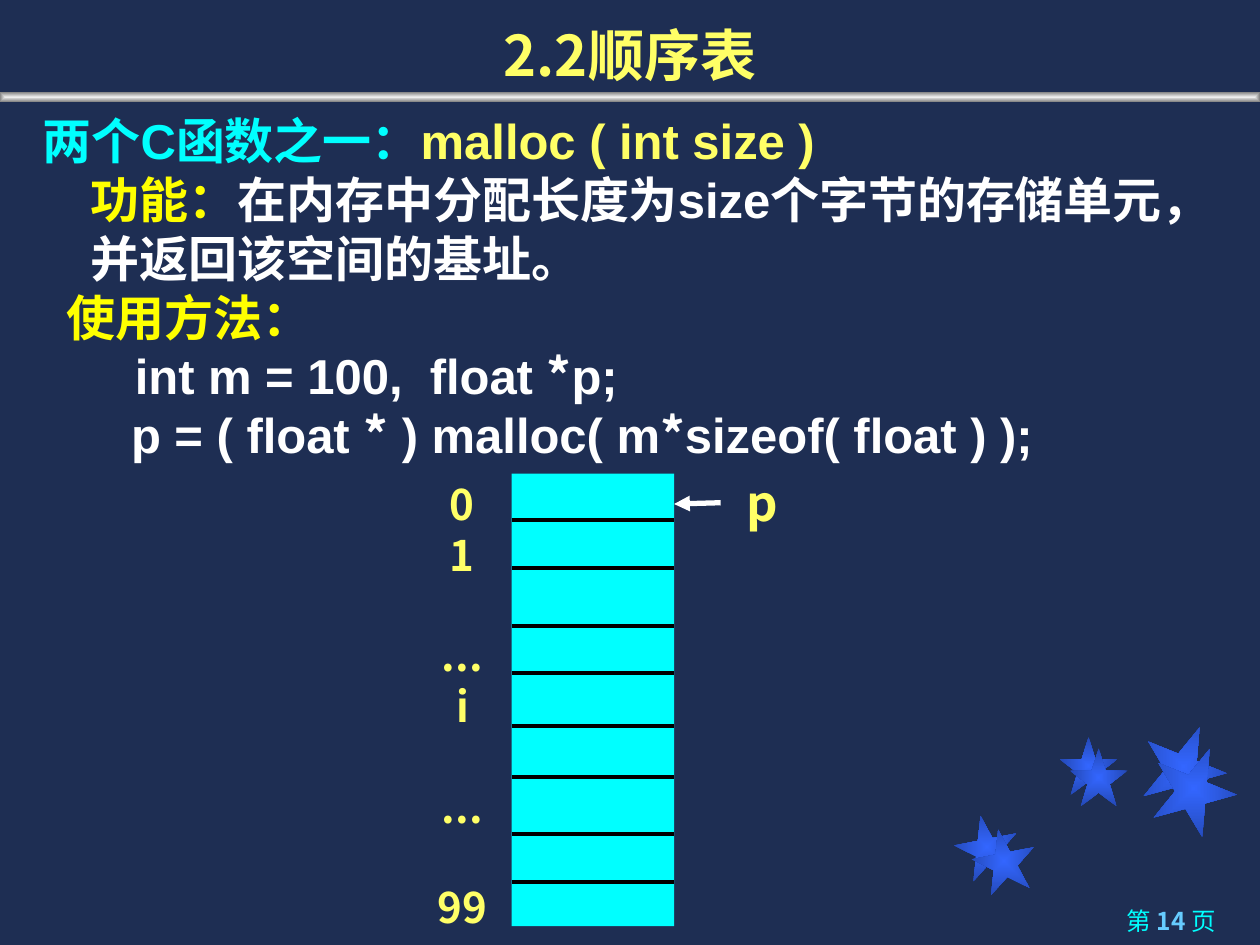
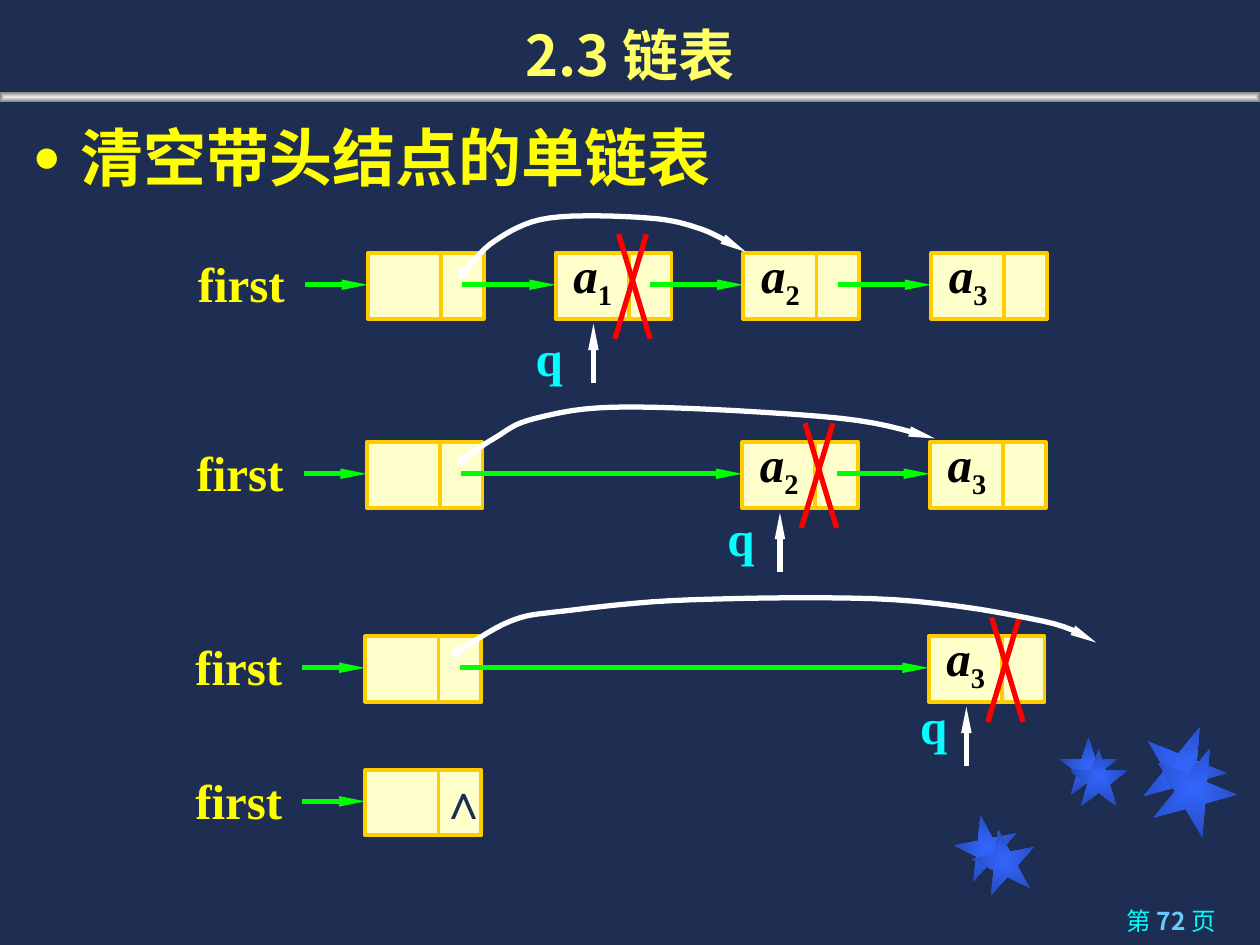
from lxml import etree
from pptx import Presentation, util as u
from pptx.dml.color import RGBColor
from pptx.enum import shapes, text
from pptx.oxml.ns import qn

WIDTH, HEIGHT = 10, 7.5
NAVY, YELLOW, PALE_YELLOW = "1E2E53", "FFFF00", "FFFF66"
CYAN, SKY, WHITE, BLACK = "00FFFF", "66CCFF", "FFFFFF", "000000"
CREAM, GOLD, GREEN, RED = "FFFFCC", "FFCC00", "00FF00", "FF0000"
SANS, HAN, SERIF = "Arial", "Noto Sans CJK SC", "Times New Roman"
LEADING = 1.2  # line pitch as a share of the text size
CURVE_UNITS = 1000  # whole drawing units per inch in a freeform

# left, top, size, rotation
STARS = [(7.58, 6.47, 0.5, 349), (8.41, 5.85, 0.46, 0), (9.06, 5.75, 0.67, 22),
         (7.72, 6.58, 0.5, 349), (8.49, 5.94, 0.46, 0), (9.14, 5.92, 0.67, 22)]

# left margin, then spans of (text, colour, font)
MALLOC_NOTES = [
    (0, [("两个C函数之一：", CYAN, SANS), ("malloc ( int size )", PALE_YELLOW, SANS)]),
    (0.38, [("功能：", YELLOW, SANS),
            ("在内存中分配长度为size个字节的存储单元，并返回该空间的基址。", WHITE, SANS)]),
    (0.19, [("使用方法：", YELLOW, SANS)]),
    (0.73, [("int m = 100,  float ", WHITE, SANS), ("*", WHITE, HAN), ("p;", WHITE, SANS)]),
    (0.7, [("p = ( float ", WHITE, SANS), ("*", WHITE, HAN), (" ) malloc( m", WHITE, SANS),
           ("*", WHITE, HAN), ("sizeof( float ) );", WHITE, SANS)]),
]
# index label, blank lines above it
MEMORY_LABELS = [("0", 0), ("1", 0), ("...", 1), ("i", 0), ("...", 1), ("99", 1)]
MEMORY = (4.06, 3.76, 1.29, 3.59)
CELL_EDGES = [4.13, 4.51, 4.97, 5.34, 5.76, 6.17, 6.62, 7]

# One dict per list state; nodes maps a grid column to its subscript, the first one is deleted
LIST_STATES = [
    dict(left=2.92, top=2.01, nodes={1: "1", 2: "2", 3: "3"}, q=(-0.26, 0.54),
         bypass=[(3.67, 2.17), (3.93, 1.91), (4.36, 1.73), (5.14, 1.73), (5.57, 1.82), (5.92, 2)]),
    dict(left=2.91, top=3.51, nodes={2: "2", 3: "3"}, q=(-0.22, 0.47),
         bypass=[(3.67, 3.65), (3.92, 3.48), (4.25, 3.32), (5, 3.23), (6.67, 3.32), (7.42, 3.48)]),
    dict(left=2.9, top=5.05, nodes={3: "3"}, q=(-0.17, 0.42),
         bypass=[(3.62, 5.18), (4.05, 4.93), (4.47, 4.85), (5.49, 4.76), (7.1, 4.76),
                 (8.28, 4.93), (8.7, 5.1)]),
    dict(left=2.9, top=6.11, nodes={}),
]
NODE_PITCH, NODE_WIDTH, NODE_HEIGHT, DIVIDER = 1.49, 0.92, 0.52, 0.58
LINK_START, LINK_DROP = 0.75, 0.25


def rgb(value):
    return RGBColor.from_string(value)


def inches(*values):
    return [u.Inches(value) for value in values]


def add_span(para, words, size, color, font=HAN, bold=True, italic=False, baseline=None):
    span = para.add_run()
    span.text = words
    span.font.size, span.font.bold, span.font.italic = u.Pt(size), bold, italic
    span.font.name, span.font.color.rgb = font, rgb(color)
    props = span.font._element
    etree.SubElement(props, qn("a:ea")).set("typeface", HAN if font == SANS else font)
    if baseline:
        props.set("baseline", str(baseline * 1000))


def set_spacing(para, size, blank_lines=0):
    pitch = round(size * LEADING, 1)
    para.line_spacing = u.Pt(pitch)
    para.space_before = u.Pt(blank_lines * pitch)


def set_indent(para, left, hanging=0, bullet=None):
    props = para._p.get_or_add_pPr()
    props.set("marL", str(u.Inches(left)))
    props.set("indent", str(u.Inches(-hanging)))
    if bullet:
        etree.SubElement(props, qn("a:buSzPct")).set("val", "75000")
        etree.SubElement(props, qn("a:buChar")).set("char", bullet)
    else:
        etree.SubElement(props, qn("a:buNone"))


def place(box, left, top, width, height):
    box.left, box.top, box.width, box.height = inches(left, top, width, height)


def add_text(slide, at, wrap=False, anchor=text.MSO_ANCHOR.MIDDLE, align=text.PP_ALIGN.CENTER):
    """Add an empty text box and return its frame."""
    frame = slide.shapes.add_textbox(*inches(*at)).text_frame
    frame.word_wrap, frame.vertical_anchor = wrap, anchor
    frame.paragraphs[0].alignment = align
    return frame


def add_label(slide, at, words, color, font=SERIF, **options):
    para = add_text(slide, at, **options).paragraphs[0]
    set_spacing(para, 28)
    add_span(para, words, 28, color, font)


def add_box(slide, kind, at, fill=None, edge=None):
    box = slide.shapes.add_shape(kind, *inches(*at))
    box.shadow.inherit = False
    if fill:
        box.fill.solid()
        box.fill.fore_color.rgb = rgb(fill)
    if edge:
        box.line.color.rgb, box.line.width = rgb(edge), u.Pt(2.25)
    else:
        box.line.fill.background()
    return box


def fill_from_centre(box, inner, outer):
    box.fill.gradient()
    for stop, color in zip(box.fill.gradient_stops, (inner, outer)):
        stop.color.rgb = rgb(color)
    gradient = box._element.spPr.find(qn("a:gradFill"))
    for linear in gradient.findall(qn("a:lin")):
        gradient.remove(linear)
    shade = etree.SubElement(gradient, qn("a:path"))
    shade.set("path", "shape")
    centre = etree.SubElement(shade, qn("a:fillToRect"))
    for side in "ltrb":
        centre.set(side, "50000")


def add_line_end(line, end, kind, width, length):
    mark = etree.SubElement(line._element.spPr.find(qn("a:ln")), qn("a:" + end))
    for key, value in (("type", kind), ("w", width), ("len", length)):
        mark.set(key, value)


def add_line(slide, start, stop, color, width=3, arrow=None):
    """Add a straight line; arrow is the (width, length) of its head."""
    line = slide.shapes.add_connector(shapes.MSO_CONNECTOR.STRAIGHT, *inches(*start, *stop))
    line.line.color.rgb, line.line.width = rgb(color), u.Pt(width)
    if arrow:
        add_line_end(line, "tailEnd", "triangle", *arrow)
    etree.SubElement(line._element.spPr, qn("a:effectLst"))


def smooth_points(knots, steps=8):
    """Points of a Catmull-Rom curve through the knots."""
    padded = [knots[0], *knots, knots[-1]]
    points = [knots[0]]
    for a, b, c, d in zip(padded, padded[1:], padded[2:], padded[3:]):
        for step in range(1, steps + 1):
            t = step / steps
            points.append(tuple(
                ((1 - t) ** 3 * q + 3 * (1 - t) ** 2 * t * (q + (r - p) / 6)
                 + 3 * (1 - t) * t ** 2 * (r - (s - q) / 6) + t ** 3 * r)
                for p, q, r, s in zip(a, b, c, d)))
    return points


def add_bypass(slide, knots):
    start, *rest = [(round(x * CURVE_UNITS), round(y * CURVE_UNITS))
                    for x, y in smooth_points(knots)]
    builder = slide.shapes.build_freeform(*start, scale=u.Inches(1) / CURVE_UNITS)
    builder.add_line_segments(rest, close=False)
    curve = builder.convert_to_shape()
    curve.shadow.inherit = False
    curve.fill.background()
    curve.line.color.rgb, curve.line.width = rgb(WHITE), u.Pt(3)
    add_line_end(curve, "headEnd", "oval", "sm", "sm")
    add_line_end(curve, "tailEnd", "triangle", "sm", "lg")


def add_page(deck, title, number, body_at):
    """Add a slide with stars, band, title and footer; return it with its body frame."""
    slide = deck.slides.add_slide(deck.slide_layouts[1])
    for left, top, size, turn in STARS:
        star = add_box(slide, shapes.MSO_SHAPE.STAR_5_POINT, (left, top, size, size))
        star.rotation = turn
        fill_from_centre(star, "3366FF", "2449B6")
    band = add_box(slide, shapes.MSO_SHAPE.RECTANGLE, (0, 0.73, WIDTH, 0.08))
    fill_from_centre(band, "EDEDED", "808080")

    footer = add_text(slide, (7.12, 7.14, 2.63, 0.36), wrap=True, anchor=text.MSO_ANCHOR.TOP,
                      align=text.PP_ALIGN.RIGHT).paragraphs[0]
    add_span(footer, "第 ", 14, CYAN, bold=False)
    add_span(footer, f"{number} ", 14, SKY)
    add_span(footer, "页", 14, CYAN, bold=False)

    heading, body = slide.shapes.title, slide.placeholders[1]
    place(heading, 0, 0, WIDTH, 0.75)
    place(body, *body_at)
    for holder, anchor in ((heading, text.MSO_ANCHOR.BOTTOM), (body, text.MSO_ANCHOR.TOP)):
        holder.text_frame.vertical_anchor = anchor
        holder.text_frame.auto_size = text.MSO_AUTO_SIZE.NONE
    para = heading.text_frame.paragraphs[0]
    para.alignment = text.PP_ALIGN.CENTER
    set_spacing(para, 32)
    add_span(para, title, 32, PALE_YELLOW)
    return slide, body.text_frame


def next_para(frame, index):
    return frame.add_paragraph() if index else frame.paragraphs[0]


def build_malloc_slide(deck):
    slide, body = add_page(deck, "2.2顺序表", 14, (0.24, 0.83, 9.47, 2.9))
    for index, (margin, spans) in enumerate(MALLOC_NOTES):
        para = next_para(body, index)
        set_spacing(para, 28)
        set_indent(para, margin)
        for words, color, font in spans:
            add_span(para, words, 28, color, font)

    add_box(slide, shapes.MSO_SHAPE.RECTANGLE, MEMORY, CYAN)
    left, right = MEMORY[0], MEMORY[0] + MEMORY[2]
    for edge in CELL_EDGES:
        add_line(slide, (left, edge), (right, edge), BLACK, 2.25)
    labels = add_text(slide, (3.25, 3.75, 0.84, 3.69), wrap=True, anchor=text.MSO_ANCHOR.TOP)
    for index, (words, blank_lines) in enumerate(MEMORY_LABELS):
        para = next_para(labels, index)
        para.alignment = text.PP_ALIGN.CENTER
        set_spacing(para, 24, blank_lines)
        add_span(para, words, 24, "FFFF67")
    add_label(slide, (5.83, 3.7, 0.65, 0.57), "p", PALE_YELLOW, HAN, wrap=True,
              anchor=text.MSO_ANCHOR.TOP, align=text.PP_ALIGN.LEFT)
    add_line(slide, (5.72, 3.99), (right, 4), WHITE, arrow=("med", "med"))


def add_node(slide, left, top, subscript=None):
    add_box(slide, shapes.MSO_SHAPE.RECTANGLE, (left, top, NODE_WIDTH, NODE_HEIGHT), CREAM, GOLD)
    middle = left + DIVIDER
    add_line(slide, (middle, top), (middle, top + NODE_HEIGHT), GOLD, 2.25)
    if subscript:
        para = add_text(slide, (left + 0.03, top - 0.06, 0.53, 0.57)).paragraphs[0]
        set_spacing(para, 28)
        add_span(para, "a", 28, BLACK, SERIF, italic=True)
        add_span(para, subscript, 28, BLACK, SERIF, baseline=-25)


def add_list_state(slide, left, top, nodes, q=None, bypass=None):
    slim = ("sm", "lg")
    link_y = top + LINK_DROP
    lefts = [left + NODE_PITCH * column for column in (0, *nodes)]
    add_label(slide, (left - 1.45, top - 0.05, 0.89, 0.57), "first", YELLOW)
    add_line(slide, (left - 0.5, link_y), (left, link_y), GREEN, arrow=slim)
    for index, (node_left, subscript) in enumerate(zip(lefts, (None, *nodes.values()))):
        add_node(slide, node_left, top, subscript)
        if index + 1 < len(lefts):
            add_line(slide, (node_left + LINK_START, link_y), (lefts[index + 1], link_y),
                     GREEN, arrow=slim)
    if not nodes:
        add_label(slide, (left + 0.49, top - 0.05, 0.5, 0.57), "∧", NAVY, SANS)
        return
    doomed = lefts[1]
    pointer = doomed + 0.3
    add_line(slide, (pointer, top + 1.03), (pointer, top + 0.56), WHITE, arrow=slim)
    add_label(slide, (doomed + q[0], top + q[1], 0.42, 0.57), "q", CYAN)
    for start, stop in ((0.5, 0.75), (0.72, 0.47)):
        add_line(slide, (doomed + start, top - 0.15), (doomed + stop, top + 0.68), RED)
    add_bypass(slide, bypass)


def build_list_slide(deck):
    slide, body = add_page(deck, "2.3 链表", 72, (0.16, 0.89, 9.45, 0.69))
    para = body.paragraphs[0]
    set_spacing(para, 36)
    set_indent(para, 0.38, 0.38, "●")
    add_span(para, "清空带头结点的单链表", 36, YELLOW)
    for state in LIST_STATES:
        add_list_state(slide, **state)


def main():
    deck = Presentation()
    deck.slide_width, deck.slide_height = inches(WIDTH, HEIGHT)
    backdrop = deck.slide_master.background.fill
    backdrop.solid()
    backdrop.fore_color.rgb = rgb(NAVY)
    build_malloc_slide(deck)
    build_list_slide(deck)
    deck.save("out.pptx")


if __name__ == "__main__":
    main()
